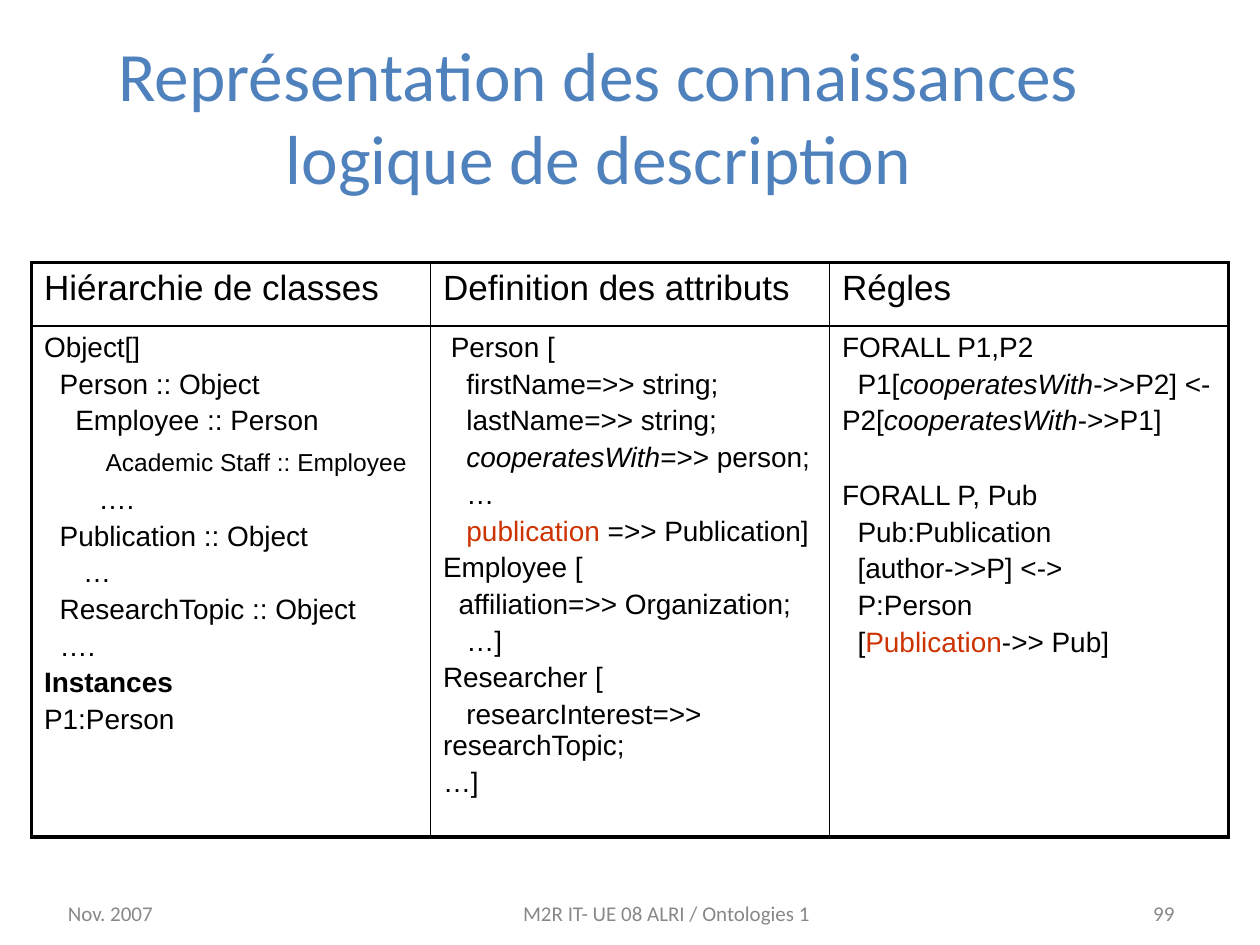
from lxml.etree import SubElement
from pptx import Presentation
from pptx.dml.color import RGBColor
from pptx.enum.text import MSO_ANCHOR, PP_ALIGN
from pptx.oxml.ns import qn
from pptx.util import Inches, Pt

COLOURS = {"title": "4F81BD", "footer": "888888", "body": "000000",
           "property": "CC3300", "paper": "FFFFFF"}
INDENT_STEP = Pt(4.45)  # width of one indent level in 16 pt Arial
OUTER, INNER = Pt(2.25), Pt(1)

deck = Presentation()
deck.slide_width, deck.slide_height = Inches(10), Inches(7.5)
W, H = deck.slide_width, deck.slide_height
slide = deck.slides.add_slide(deck.slide_layouts[6])


def style(run, size, font, colour):
    run.font.size, run.font.name = Pt(size), font
    run.font.color.rgb = RGBColor.from_string(COLOURS[colour])


def add_border(cell, side, width):
    line = SubElement(cell._tc.get_or_add_tcPr(), qn(f"a:ln{side}"), w=str(width))
    SubElement(SubElement(line, qn("a:solidFill")), qn("a:srgbClr"), val=COLOURS["body"])


# Footer and title: text, left, top, width, height (shares of the slide), alignment, size, colour
labels = [
    ("Nov. 2007", 0.044, 0.933, 0.172, 0.067, PP_ALIGN.LEFT, 12, "footer"),
    ("M2R IT- UE 08 ALRI / Ontologies 1", 0.183, 0.933, 0.692, 0.067,
     PP_ALIGN.CENTER, 12, "footer"),
    ("99", 0.892, 0.933, 0.05, 0.067, PP_ALIGN.RIGHT, 12, "footer"),
    ("Représentation des connaissances logique de description",
     0.05, 0.044, 0.85, 0.156, PP_ALIGN.CENTER, 39.6, "title"),
]
for text, left, top, width, height, alignment, size, colour in labels:
    label = slide.shapes.add_textbox(
        int(left * W), int(top * H), int(width * W), int(height * H)).text_frame
    label.word_wrap = True
    label.vertical_anchor = MSO_ANCHOR.MIDDLE
    label.text = text
    label.paragraphs[0].alignment = alignment
    style(label.paragraphs[0].runs[0], size, "Calibri", colour)

# Table content: each line is an indent level followed by (text, look) pieces
headings = ["Hiérarchie de classes", "Definition des attributs", "Régles"]
classes = [
    (0, ("Object[]", "")),
    (2, ("Person :: Object", "")),
    (4, ("Employee :: Person", "")),
    (7.9, ("Academic Staff :: Employee", "small")),
    (7, ("….", "")),
    (2, ("Publication :: Object", "")),
    (5, ("…", "")),
    (2, ("ResearchTopic :: Object", "")),
    (2, ("….", "")),
    (0, ("Instances", "bold")),
    (0, ("P1:Person", "")),
]
attributes = [
    (1, ("Person [", "")),
    (3, ("firstName=>> string;", "")),
    (3, ("lastName=>> string;", "")),
    (3, ("cooperatesWith", "italic"), ("=>> person;", "")),
    (3, ("…", "")),
    (3, ("publication", "property"), (" =>> Publication]", "")),
    (0, ("Employee [", "")),
    (2, ("affiliation=>> Organization;", "")),
    (3, ("…]", "")),
    (0, ("Researcher [", "")),
    (3, ("researcInterest=>> researchTopic;", "")),
    (0, ("…]", "")),
]
rules = [
    (0, ("FORALL P1,P2", "")),
    (2, ("P1[", ""), ("cooperatesWith", "italic"), ("->>P2] <-", "")),
    (0, ("P2[", ""), ("cooperatesWith", "italic"), ("->>P1]", "")),
    (0, ("FORALL P, Pub", "new rule")),
    (2, ("Pub:Publication", "")),
    (2, ("[author->>P] <->", "")),
    (2, ("P:Person", "")),
    (2, ("[", ""), ("Publication", "property"), ("->> Pub]", "")),
]
space_before = {"small": 7.2, "new rule": 24.8}

# Table grid: three equal columns, a heading row and a content row
table_width = int(0.95 * W)
table = slide.shapes.add_table(
    2, 3, int(0.025 * W), int(0.278 * H), table_width, int(0.574 * H)).table
table.first_row = table.horz_banding = False
for column in table.columns:
    column.width = table_width // 3
for row, share in zip(table.rows, (0.067, 0.507)):
    row.height = int(share * H)

# Heading row
for column, heading in enumerate(headings):
    paragraph = table.cell(0, column).text_frame.paragraphs[0]
    paragraph.text = heading
    style(paragraph.runs[0], 20, "Arial", "body")

# Content row
for column, lines in enumerate((classes, attributes, rules)):
    frame = table.cell(1, column).text_frame
    for number, (level, *pieces) in enumerate(lines):
        paragraph = frame.add_paragraph() if number else frame.paragraphs[0]
        first_look = pieces[0][1]
        if number:
            paragraph.space_before = Pt(space_before.get(first_look, 3.2))
        if first_look == "small":
            paragraph.space_after = Pt(0.9)
        properties = paragraph._p.get_or_add_pPr()
        properties.set("marL", "0")
        properties.set("indent", str(int(level * INDENT_STEP)))
        for text, look in pieces:
            run = paragraph.add_run()
            run.text = text
            style(run, 14 if look == "small" else 16, "Arial",
                  "property" if look == "property" else "body")
            run.font.bold = look == "bold"
            run.font.italic = look == "italic"

# Borders: thick around the table, thin inside
for row in range(2):
    for column in range(3):
        cell = table.cell(row, column)
        edges = {"L": column == 0, "R": column == 2, "T": row == 0, "B": row == 1}
        for side, is_outer in edges.items():
            add_border(cell, side, OUTER if is_outer else INNER)
        cell.fill.solid()
        cell.fill.fore_color.rgb = RGBColor.from_string(COLOURS["paper"])

deck.save("out.pptx")
